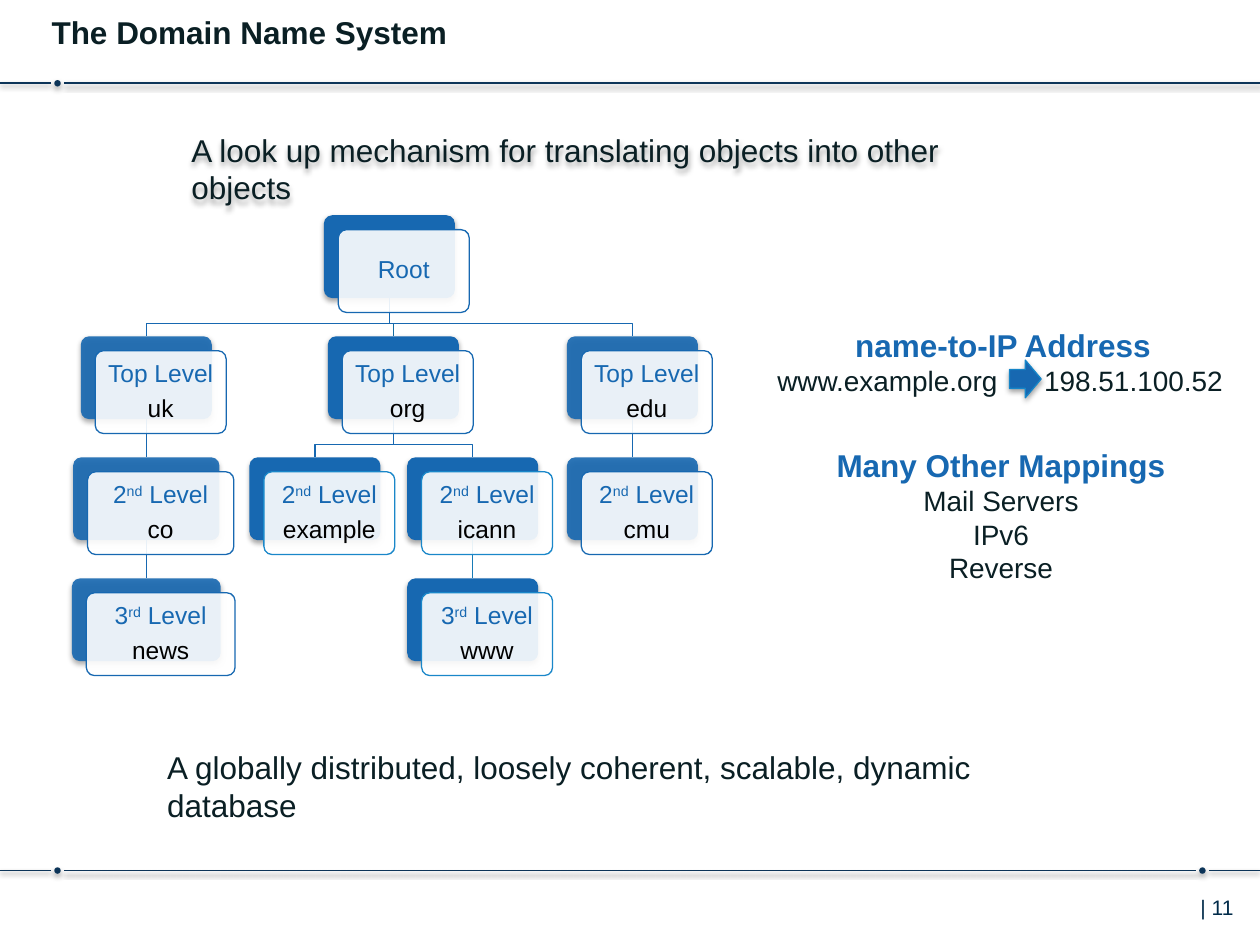
from dataclasses import dataclass
from typing import Any, NamedTuple, Optional

from lxml.etree import SubElement
from pptx import Presentation
from pptx.dml.color import RGBColor
from pptx.enum.shapes import MSO_CONNECTOR as Connector, MSO_SHAPE as Preset
from pptx.enum.text import MSO_ANCHOR as Anchor, MSO_AUTO_SIZE as AutoSize, PP_ALIGN as Align
from pptx.oxml.ns import qn
from pptx.util import Cm, Pt


@dataclass(frozen=True)
class Theme:
    font: str = "Arial"
    ink: str = "0A1F24"
    navy: str = "0C3458"
    number: str = "002B49"
    blue: str = "1768B1"
    sky: str = "1A87C9"
    arrow_edge: str = "1585C8"
    www_link: str = "187BB6"
    org_link: str = "156CA1"
    white: str = "FFFFFF"
    black: str = "000000"
    large: int = 18
    medium: int = 16
    node: int = 14
    small: int = 12


THEME = Theme()


class Box(NamedTuple):
    left: float
    top: float
    width: float
    height: float

    def lengths(self) -> list:
        return [Cm(value) for value in self]


class Span(NamedTuple):
    text: str
    size: int
    color: str
    bold: bool = False
    baseline: int = 0


class Shadow(NamedTuple):
    opacity: int
    blur: float
    distance: float


SHAPE_SHADOW = Shadow(35, 3.1, 1.8)
LINE_SHADOW = Shadow(38, 3.1, 1.6)


@dataclass(frozen=True)
class Node:
    name: str
    row: int
    center: float
    parent: Optional[str] = None
    width: float = 2.64
    opacity: int = 90
    edge: str = THEME.blue
    link: str = THEME.blue


# Domain tree: parents come before their children
NODES = [
    Node("", 0, 7.85, opacity=100),
    Node("uk", 1, 2.95, ""),
    Node("co", 2, 2.95, "uk", 2.95),
    Node("news", 3, 2.95, "co", 3.0),
    Node("org", 1, 7.93, "", opacity=100, link=THEME.org_link),
    Node("example", 2, 6.35, "org", opacity=100, edge=THEME.sky),
    Node("icann", 2, 9.53, "org", opacity=100, edge=THEME.sky),
    Node("www", 3, 9.53, "icann", opacity=100, edge=THEME.sky, link=THEME.www_link),
    Node("edu", 1, 12.75, ""),
    Node("cmu", 2, 12.75, "edu"),
]
# Per row: plain text, superscript, plain text
LEVELS = [("Root",), ("Top Level",), ("2", "nd", " Level"), ("3", "rd", " Level")]
TREE_TOP, ROW_STEP, NODE_HEIGHT, PANEL_SHIFT, LINK_DROP = 4.34, 2.44, 1.67, 0.29, 0.51


def apply(target: Any, values: dict) -> None:
    for name, value in values.items():
        setattr(target, name, value)


def set_effects(shape: Any, shadow: Optional[Shadow] = None) -> None:
    """Write the effect list; call it after fill and line are set."""
    effects = SubElement(shape._element.spPr, qn("a:effectLst"))
    if shadow:
        outer = SubElement(effects, qn("a:outerShdw"), blurRad=str(Pt(shadow.blur)),
                           dist=str(Pt(shadow.distance)), dir="5400000", rotWithShape="0")
        color = SubElement(outer, qn("a:srgbClr"), val=THEME.black)
        SubElement(color, qn("a:alpha"), val=str(shadow.opacity * 1000))


def set_line(shape: Any, color: str, width: float = 0.75) -> None:
    shape.line.color.rgb = RGBColor.from_string(color)
    shape.line.width = Pt(width)


def add_preset(slide: Any, kind: Any, box: Box, fill: str, opacity: int = 100,
               edge: Optional[str] = None, shadow: Optional[Shadow] = None) -> Any:
    shape = slide.shapes.add_shape(kind, *box.lengths())
    shape.fill.solid()
    shape.fill.fore_color.rgb = RGBColor.from_string(fill)
    if opacity < 100:
        color = shape._element.spPr.find(".//" + qn("a:srgbClr"))
        SubElement(color, qn("a:alpha"), val=str(opacity * 1000))
    if edge:
        set_line(shape, edge)
    else:
        shape.line.fill.background()
    set_effects(shape, shadow)
    return shape


def fill_text(shape: Any, paragraphs: list, frame_format: dict, para_format: dict) -> Any:
    frame = shape.text_frame
    apply(frame, {"auto_size": AutoSize.NONE, "word_wrap": True,
                  "vertical_anchor": Anchor.TOP, **frame_format})
    for index, spans in enumerate(paragraphs):
        para = frame.add_paragraph() if index else frame.paragraphs[0]
        apply(para, para_format)
        for span in spans:
            run = para.add_run()
            run.text = span.text
            apply(run.font, {"name": THEME.font, "size": Pt(span.size), "bold": span.bold})
            run.font.color.rgb = RGBColor.from_string(span.color)
            if span.baseline:
                run.font._element.set("baseline", str(span.baseline * 1000))
    return frame


def add_text(slide: Any, box: Box, paragraphs: list, align: Any = Align.LEFT) -> Any:
    shape = slide.shapes.add_textbox(*box.lengths())
    fill_text(shape, paragraphs, {}, {"alignment": align})
    return shape


def add_rule(slide: Any, height: float, dots: list) -> None:
    """Horizontal rule across the page, broken by a dot at each given place."""
    gap, radius = 0.13, 0.065
    ends = [0, *(x + side for x in dots for side in (-gap, gap)), 25.4]
    for start, end in zip(ends[::2], ends[1::2]):
        line = slide.shapes.add_connector(Connector.STRAIGHT, Cm(start), Cm(height),
                                          Cm(end), Cm(height))
        set_line(line, THEME.navy, 1)
        set_effects(line, LINE_SHADOW)
    for x in dots:
        add_preset(slide, Preset.OVAL, Box(x - radius, height - radius, 2 * radius, 2 * radius),
                   THEME.navy, shadow=SHAPE_SHADOW)


def add_link(slide: Any, parent: Node, child: Node, cards: dict) -> None:
    start = TREE_TOP + parent.row * ROW_STEP + NODE_HEIGHT
    end = TREE_TOP + child.row * ROW_STEP
    if parent.center == child.center:
        link = slide.shapes.add_connector(Connector.STRAIGHT, Cm(parent.center), Cm(start),
                                          Cm(child.center), Cm(end))
        link.begin_connect(cards[parent.name], 2)
        link.end_connect(cards[child.name], 0)
    else:
        bend = start + LINK_DROP
        builder = slide.shapes.build_freeform(Cm(parent.center), Cm(start))
        corners = [(parent.center, bend), (child.center, bend), (child.center, end)]
        builder.add_line_segments([(Cm(x), Cm(y)) for x, y in corners], close=False)
        link = builder.convert_to_shape()
        link.fill.background()
    set_line(link, child.link)
    set_effects(link)


def add_panel(slide: Any, node: Node, box: Box) -> None:
    shifted = box._replace(left=box.left + PANEL_SHIFT, top=box.top + PANEL_SHIFT)
    panel = add_preset(slide, Preset.ROUNDED_RECTANGLE, shifted, THEME.white, 90, node.edge)
    panel.adjustments[0] = 0.1
    level = [Span(text, THEME.node, THEME.blue, baseline=30 * (index == 1))
             for index, text in enumerate(LEVELS[node.row])]
    label = [[Span(node.name, THEME.node, THEME.black)]] if node.name else []
    sides = ("left", "right", "top", "bottom")
    fill_text(panel, [level, *label],
              {"vertical_anchor": Anchor.MIDDLE, **{f"margin_{side}": Cm(0.2) for side in sides}},
              {"alignment": Align.CENTER, "line_spacing": 0.9, "space_after": Pt(5)})


def add_tree(slide: Any) -> None:
    boxes = {node.name: Box(node.center - node.width / 2, TREE_TOP + node.row * ROW_STEP,
                            node.width, NODE_HEIGHT) for node in NODES}
    by_name = {node.name: node for node in NODES}
    cards = {}
    for node in NODES:
        card = add_preset(slide, Preset.ROUNDED_RECTANGLE, boxes[node.name], THEME.blue,
                          node.opacity, shadow=SHAPE_SHADOW)
        card.adjustments[0] = 0.1
        cards[node.name] = card
    for node in NODES:
        if node.parent is not None:
            add_link(slide, by_name[node.parent], node, cards)
    for node in NODES:
        add_panel(slide, node, boxes[node.name])


def main() -> None:
    deck = Presentation()
    apply(deck, {"slide_width": Cm(25.4), "slide_height": Cm(19.05)})
    slide = deck.slides.add_slide(deck.slide_layouts[1])
    title, body = slide.placeholders
    sides = ("left", "top", "width", "height")

    # Page frame
    add_rule(slide, 1.68, [1.16])
    add_rule(slide, 17.55, [1.16, 24.24])
    add_text(slide, Box(23.95, 17.91, 1.4, 1.02), [[Span("| 11", THEME.small, THEME.number)]])

    # Title
    apply(title, dict(zip(sides, Box(1.04, 0.13, 22.25, 1.24).lengths())))
    fill_text(title, [[Span("The Domain Name System", THEME.large, THEME.ink, True)]],
              {"margin_left": 0, "margin_right": 0}, {"alignment": Align.LEFT})

    add_tree(slide)

    # Statements above and below the tree
    lookup = "A look up mechanism for translating objects into other objects"
    statement = add_text(slide, Box(3.61, 2.51, 17.4, 1.8),
                         [[Span(lookup, THEME.large, THEME.ink)]])
    set_effects(statement, SHAPE_SHADOW)
    database = "A globally distributed, loosely coherent, scalable, dynamic database"
    add_text(slide, Box(3.12, 14.96, 19, 1.8), [[Span(database, THEME.large, THEME.ink)]])

    # Name-to-address example, its two halves set apart by a tab
    example = add_text(slide, Box(15.42, 6.45, 9.6, 1.68), [
        [Span("name-to-IP Address", THEME.large, THEME.blue, True)],
        [Span("www.example.org\t198.51.100.52", THEME.medium, THEME.ink)]], Align.CENTER)
    address = example.text_frame.paragraphs[1]
    address.alignment = Align.LEFT
    tabs = SubElement(address._p.get_or_add_pPr(), qn("a:tabLst"))
    SubElement(tabs, qn("a:tab"), pos=str(Cm(5.38)), algn="l")
    add_preset(slide, Preset.RIGHT_ARROW, Box(20.35, 7.26, 0.64, 0.76), THEME.blue,
               edge=THEME.arrow_edge, shadow=SHAPE_SHADOW)

    # Other mappings
    apply(body, dict(zip(sides, Box(16.18, 8.86, 8, 3.05).lengths())))
    others = [[Span(text, THEME.medium, THEME.ink)] for text in ("Mail Servers", "IPv6", "Reverse")]
    frame = fill_text(body, [[Span("Many Other Mappings", THEME.large, THEME.blue, True)], *others],
                      {}, {"alignment": Align.CENTER, "space_before": Pt(0)})
    for para in frame.paragraphs:
        properties = para._p.get_or_add_pPr()
        properties.set("marL", "0")
        properties.set("indent", "0")
        SubElement(properties, qn("a:buNone"))

    deck.save("out.pptx")


if __name__ == "__main__":
    main()
